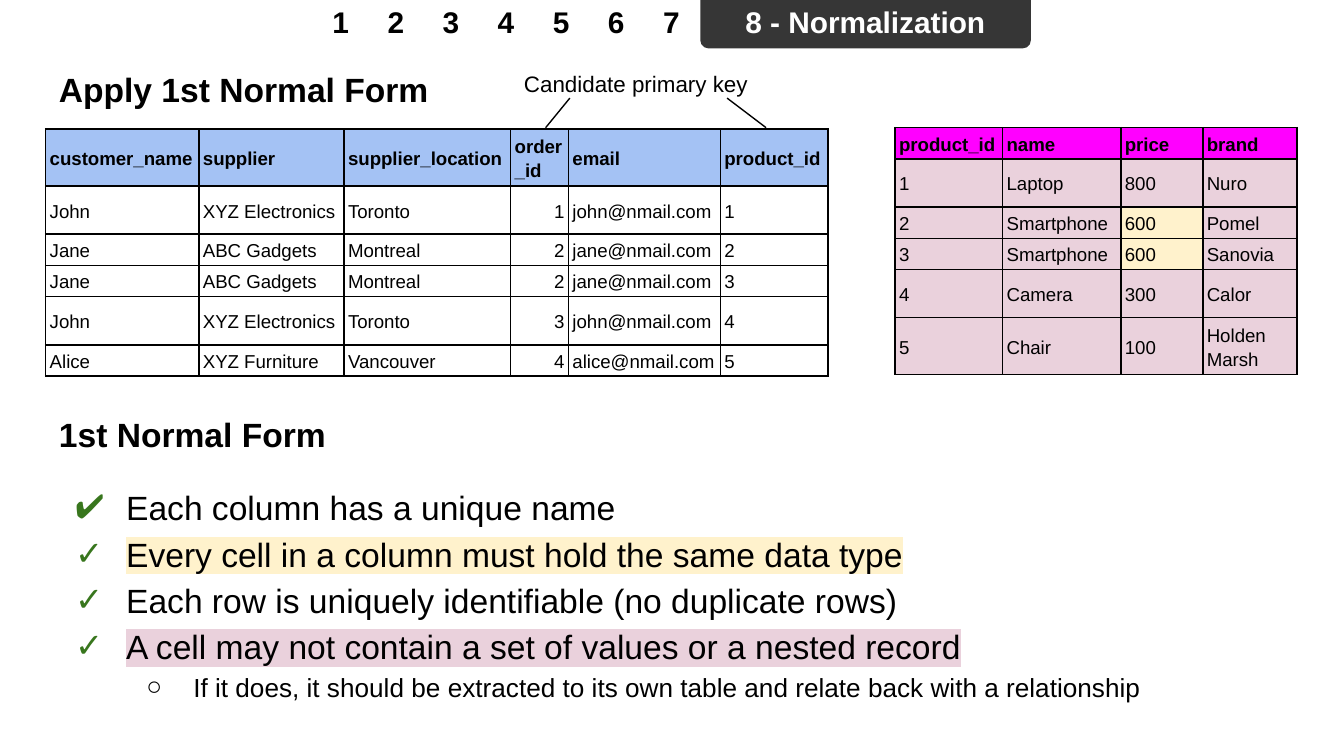
from dataclasses import dataclass, field

from lxml.etree import SubElement
from pptx import Presentation
from pptx.dml.color import RGBColor
from pptx.enum.shapes import MSO_CONNECTOR, MSO_SHAPE
from pptx.enum.text import MSO_ANCHOR, PP_ALIGN
from pptx.oxml import parse_xml
from pptx.oxml.ns import nsdecls, qn
from pptx.util import Inches, Pt


@dataclass(frozen=True)
class Theme:
    font: str = "Arial"
    black: str = "000000"
    white: str = "FFFFFF"
    tab: str = "363636"
    check: str = "38761D"
    blue: str = "A4C2F4"
    magenta: str = "FF00FF"
    pink: str = "EAD1DC"
    cream: str = "FFF2CC"
    heading: int = 18
    nav: int = 16
    detail: int = 14
    label: int = 12
    cell: int = 10
    spacing: float = 1.15


@dataclass(frozen=True)
class Grid:
    left: float
    top: float
    widths: list[float]
    rows: list[list[str]]
    header_fill: str
    body_fill: str | None = None
    right_columns: tuple[int, ...] = ()
    marked: dict[tuple[int, int], str] = field(default_factory=dict)


@dataclass(frozen=True)
class Rule:
    text: str
    bullet: str
    highlight: str | None = None
    level: int = 0


THEME = Theme()
ROW_HEIGHTS = [0.23, 0.36, 0.23, 0.23, 0.36, 0.23]

ORDERS = Grid(
    0.34, 0.96, [1.14, 1.08, 1.24, 0.43, 1.13, 0.8],
    [
        ["customer_name", "supplier", "supplier_location", "order_id", "email", "product_id"],
        ["John", "XYZ Electronics", "Toronto", "1", "john@nmail.com", "1"],
        ["Jane", "ABC Gadgets", "Montreal", "2", "jane@nmail.com", "2"],
        ["Jane", "ABC Gadgets", "Montreal", "2", "jane@nmail.com", "3"],
        ["John", "XYZ Electronics", "Toronto", "3", "john@nmail.com", "4"],
        ["Alice", "XYZ Furniture", "Vancouver", "4", "alice@nmail.com", "5"],
    ],
    THEME.blue, right_columns=(3,),
)
PRODUCTS = Grid(
    6.66, 0.95, [0.8, 0.88, 0.61, 0.7],
    [
        ["product_id", "name", "price", "brand"],
        ["1", "Laptop", "800", "Nuro"],
        ["2", "Smartphone", "600", "Pomel"],
        ["3", "Smartphone", "600", "Sanovia"],
        ["4", "Camera", "300", "Calor"],
        ["5", "Chair", "100", "Holden Marsh"],
    ],
    THEME.magenta, THEME.pink,
    marked={(2, 2): THEME.cream, (3, 2): THEME.cream},
)
RULES = [
    Rule("Each column has a unique name", "✔"),
    Rule("Every cell in a column must hold the same data type", "✓", THEME.cream),
    Rule("Each row is uniquely identifiable (no duplicate rows)", "✓"),
    Rule("A cell may not contain a set of values or a nested record", "✓", THEME.pink),
    Rule("If it does, it should be extracted to its own table and relate back with a relationship",
         "○", level=1),
]


def write(para, text: str, *, size: float, color: str = THEME.black, bold: bool = False,
          align=PP_ALIGN.LEFT, spacing: float | None = None, highlight: str | None = None) -> None:
    para.alignment = align
    if spacing:
        para.line_spacing = spacing
    span = para.add_run()
    span.text = text
    span.font.name = THEME.font
    span.font.size = Pt(size)
    span.font.bold = bold
    span.font.color.rgb = RGBColor.from_string(color)
    if highlight:
        span.font.fill._xPr.find(qn("a:solidFill")).addnext(parse_xml(
            f'<a:highlight {nsdecls("a")}><a:srgbClr val="{highlight}"/></a:highlight>'))


def add_box(page, left: float, top: float, width: float, height: float):
    box = page.shapes.add_textbox(Inches(left), Inches(top), Inches(width), Inches(height))
    frame = box.text_frame
    frame.word_wrap = True
    frame.margin_left = frame.margin_right = Inches(0.1)
    frame.margin_top = frame.margin_bottom = Inches(0.1)
    return frame


def add_label(page, text: str, left: float, top: float, width: float, height: float,
              **style) -> None:
    write(add_box(page, left, top, width, height).paragraphs[0], text, **style)


def add_navigation(page) -> None:
    tab = page.shapes.add_shape(MSO_SHAPE.ROUND_2_SAME_RECTANGLE,
                                Inches(5.21), Inches(0), Inches(2.46), Inches(0.36))
    tab.rotation = 180
    tab.shadow.inherit = False
    tab.fill.solid()
    tab.fill.fore_color.rgb = RGBColor.from_string(THEME.tab)
    tab.line.fill.background()
    style = dict(size=THEME.nav, bold=True, align=PP_ALIGN.CENTER)
    add_label(page, "8 - Normalization", 5.21, -0.07, 2.46, 0.47, color=THEME.white, **style)
    for index in range(7):
        add_label(page, str(index + 1), 2.33 + 0.41 * index, -0.07, 0.41, 0.42, **style)


def add_borders(cell) -> None:
    properties = cell._tc.get_or_add_tcPr()
    for index, side in enumerate(("lnL", "lnR", "lnT", "lnB")):
        properties.insert(index, parse_xml(
            f'<a:{side} {nsdecls("a")} w="{Pt(0.94)}"><a:solidFill>'
            f'<a:srgbClr val="{THEME.black}"/></a:solidFill></a:{side}>'))


def add_grid(page, grid: Grid) -> None:
    table = page.shapes.add_table(
        len(grid.rows), len(grid.widths), Inches(grid.left), Inches(grid.top),
        Inches(sum(grid.widths)), Inches(sum(ROW_HEIGHTS))).table
    table.first_row = table.horz_banding = False
    for column, width in zip(table.columns, grid.widths):
        column.width = Inches(width)
    for row, height in zip(table.rows, ROW_HEIGHTS):
        row.height = Inches(height)
    for row, values in enumerate(grid.rows):
        for column, text in enumerate(values):
            cell = table.cell(row, column)
            header = row == 0
            cell.vertical_anchor = MSO_ANCHOR.MIDDLE
            cell.margin_left = cell.margin_right = Inches(0.03)
            cell.margin_top = cell.margin_bottom = Inches(0.02)
            fill = grid.header_fill if header else grid.marked.get((row, column), grid.body_fill)
            if fill:
                cell.fill.solid()
                cell.fill.fore_color.rgb = RGBColor.from_string(fill)
            else:
                cell.fill.background()
            add_borders(cell)
            to_right = not header and column in grid.right_columns
            write(cell.text_frame.paragraphs[0], text, size=THEME.cell, bold=header,
                  align=PP_ALIGN.RIGHT if to_right else PP_ALIGN.LEFT, spacing=THEME.spacing)


def add_rules(page, rules: list[Rule]) -> None:
    frame = add_box(page, 0.34, 3.48, 9.32, 1.83)
    for index, rule in enumerate(rules):
        para = frame.add_paragraph() if index else frame.paragraphs[0]
        para.level = rule.level
        write(para, rule.text, size=THEME.detail if rule.level else THEME.heading,
              spacing=THEME.spacing, highlight=rule.highlight)
        properties = para._p.get_or_add_pPr()
        properties.set("marL", str(Inches(0.5 * (rule.level + 1))))
        properties.set("indent", str(Inches(-0.35 if rule.level else -0.38)))
        color = SubElement(properties, qn("a:buClr"))
        SubElement(color, qn("a:srgbClr"), val=THEME.black if rule.level else THEME.check)
        SubElement(properties, qn("a:buFont"), typeface=THEME.font)
        SubElement(properties, qn("a:buChar"), char=rule.bullet)


def add_pointer(page, start: tuple[float, float], end: tuple[float, float]) -> None:
    line = page.shapes.add_connector(MSO_CONNECTOR.STRAIGHT,
                                     *(Inches(value) for value in start + end))
    line.line.color.rgb = RGBColor.from_string(THEME.black)
    line.line.width = Pt(0.75)
    SubElement(line._element.spPr, qn("a:effectLst"))


def main() -> None:
    deck = Presentation()
    deck.slide_width, deck.slide_height = Inches(10), Inches(10 * 9 / 16)
    page = deck.slides.add_slide(deck.slide_layouts[6])
    add_navigation(page)
    for text, top in (("Apply 1st Normal Form", 0.41), ("1st Normal Form", 2.98)):
        add_label(page, text, 0.34, top, 9.32, 0.5, size=THEME.heading, bold=True)
    add_rules(page, RULES)
    for grid in (ORDERS, PRODUCTS):
        add_grid(page, grid)
    add_label(page, "Candidate primary key", 3.8, 0.42, 2.39, 0.36, size=THEME.label)
    add_pointer(page, (4.24, 0.73), (4.06, 0.95))
    add_pointer(page, (5.41, 0.73), (5.7, 0.95))
    deck.save("out.pptx")


if __name__ == "__main__":
    main()
